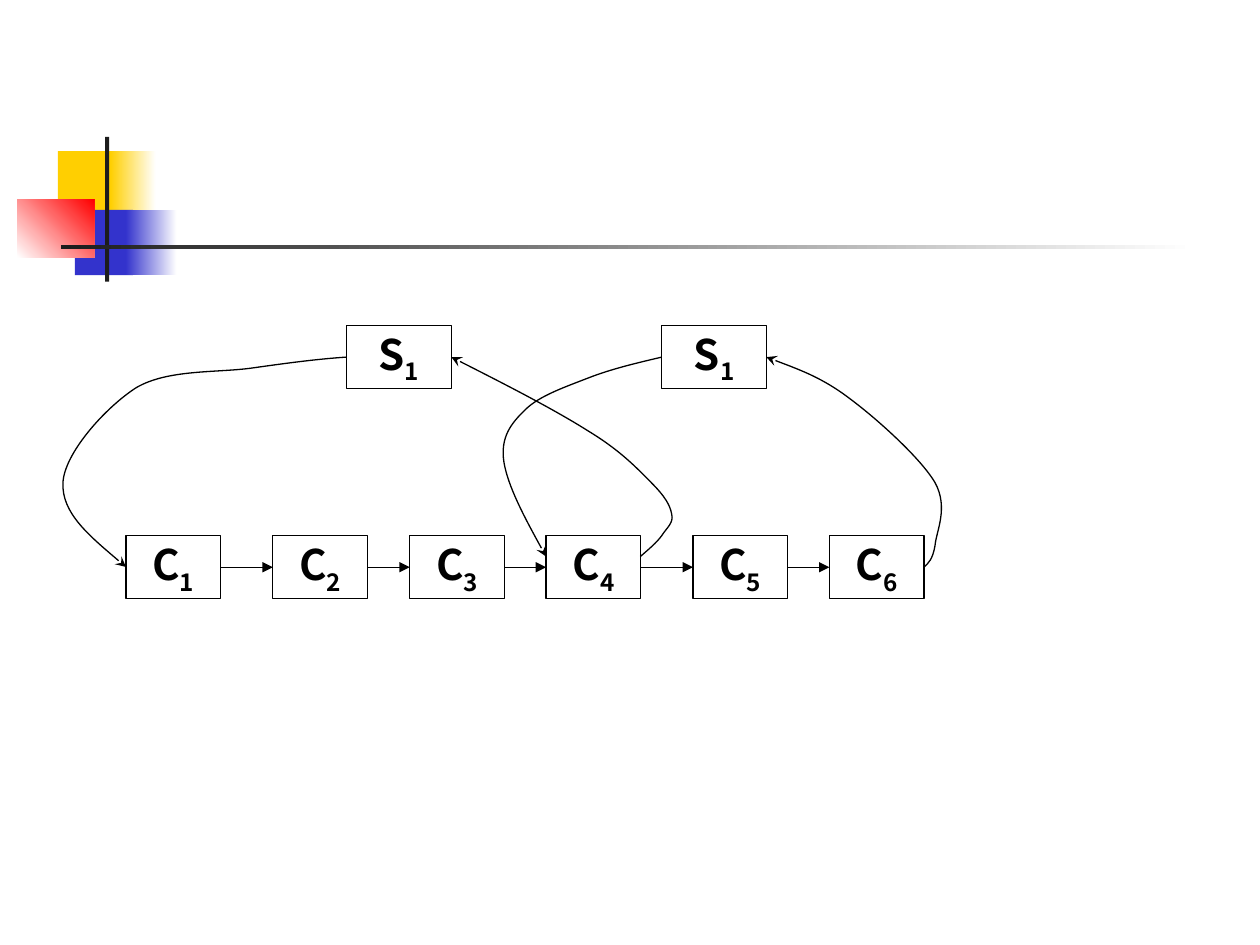
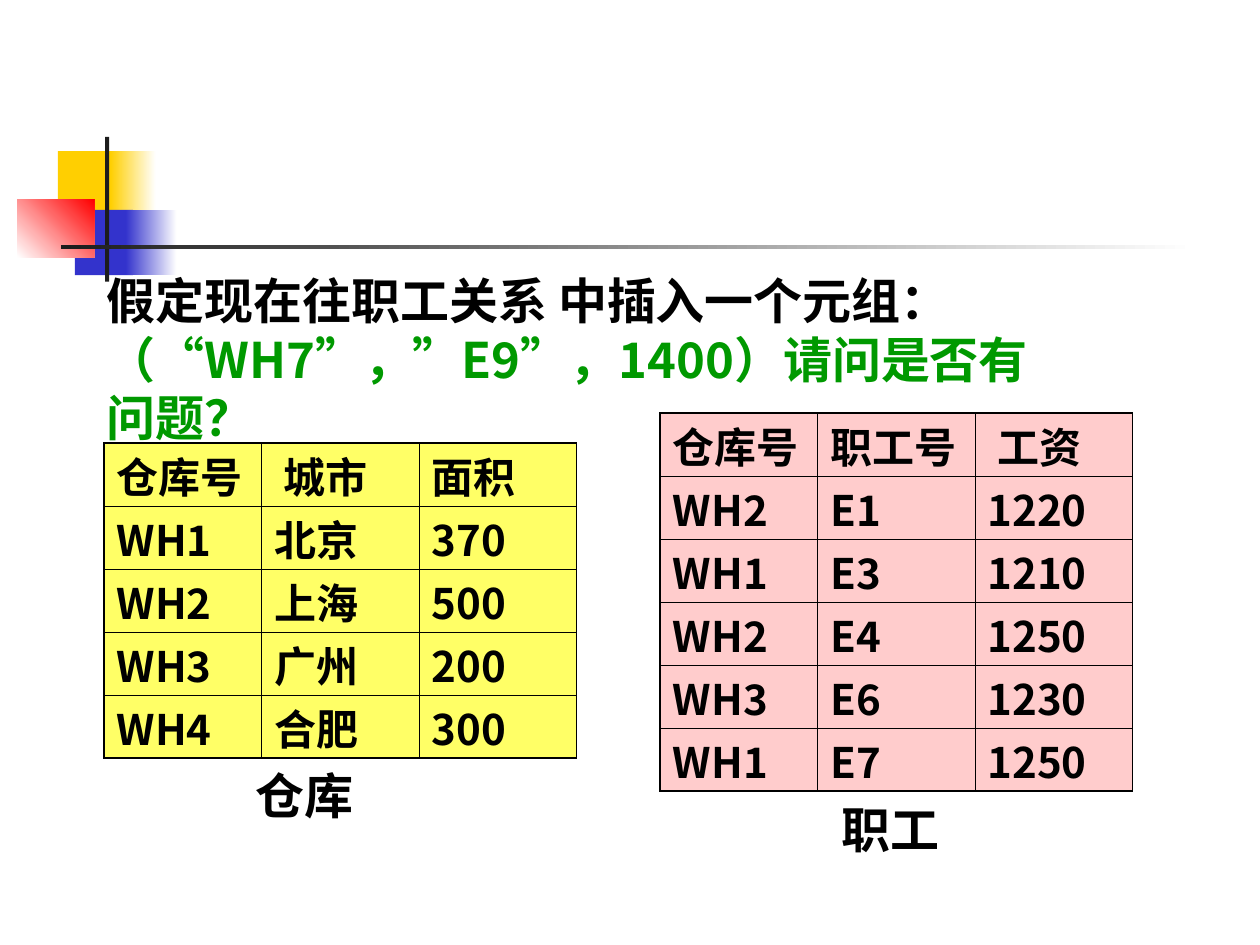
"""Build two database slides: a linked-record diagram and a pair of relation tables."""
import lxml.etree
import pptx
import pptx.dml.color
import pptx.enum.shapes
import pptx.enum.text
import pptx.oxml.ns
import pptx.util

Cm = pptx.util.Cm
Pt = pptx.util.Pt
qn = pptx.oxml.ns.qn

COLORS = {
    "black": "000000", "white": "FFFFFF", "ink": "1C1C1C", "gold": "FFCF01",
    "blue": "3333CC", "red": "FF0000", "green": "009900",
    "yellow": "FFFF66", "pink": "FFCCCC",
}
SANS = "Noto Sans CJK SC"
SERIF = "Times New Roman"

EMBLEM = [
    ((1.17, 3.05, 1.22, 1.32), ("gold",), 0),
    ((2.23, 3.05, 0.91, 1.32), ("gold", "white"), 0),
    ((1.51, 4.23, 1.17, 1.32), ("blue",), 0),
    ((2.54, 4.23, 1.02, 1.32), ("blue", "white"), 0),
    ((0.35, 4.02, 1.55, 1.17), ("white", "red"), 45),
    ((2.12, 2.76, 0.08, 2.92), ("ink",), 0),
    ((1.23, 4.94, 22.86, 0.09), ("ink", "white"), 0),
]

BOX_HEIGHT = 1.27
STUDENT_TOP, STUDENT_WIDTH = 6.56, 2.12
COURSE_TOP, COURSE_WIDTH = 10.8, 1.91
STUDENT_LEFTS = [6.98, 13.34]
COURSE_LEFTS = [2.54, 5.5, 8.26, 11.01, 13.97, 16.72]

LINK_CURVES = [
    [(6.98, 7.2), (6.38, 7.24), (5.79, 7.32), (5.08, 7.42), (4.37, 7.52),
     (3.38, 7.44), (2.74, 7.82), (2.11, 8.23), (1.3, 9.14), (1.27, 9.73),
     (1.24, 10.34), (1.88, 10.87), (2.54, 11.43)],
    [(12.91, 11.22), (13.08, 11.07), (13.23, 10.95), (13.34, 10.8), (13.44, 10.64),
     (13.59, 10.54), (13.54, 10.36), (13.51, 10.19), (13.41, 10.01), (13.13, 9.73),
     (12.85, 9.45), (12.52, 9.09), (11.86, 8.69), (11.18, 8.26), (10.13, 7.72),
     (9.1, 7.2)],
    [(13.34, 7.2), (12.83, 7.32), (12.32, 7.44), (11.86, 7.62), (11.4, 7.8),
     (10.87, 7.98), (10.59, 8.26), (10.31, 8.53), (10.08, 8.81), (10.16, 9.32),
     (10.24, 9.8), (10.62, 10.52), (11.01, 11.22)],
    [(18.63, 11.43), (18.72, 11.35), (18.8, 11.28), (18.85, 11), (18.87, 10.72),
     (19.13, 10.24), (18.85, 9.73), (18.57, 9.25), (17.7, 8.46), (17.15, 8.05),
     (16.59, 7.62), (16.03, 7.42), (15.45, 7.2)],
]

QUESTION = [
    ("假定现在往职工关系 中插入一个元组：", "black"),
    ("（“WH7”，”E9”，1400）请问是否有问题？", "green"),
]
RELATIONS = [
    {
        "caption": "仓库", "caption_at": (4.9, 15.32), "at": (2.1, 8.93), "fill": "yellow",
        "rows": [
            ("仓库号", " 城市", "面积"),
            ("WH1", "北京", "370"),
            ("WH2", "上海", "500"),
            ("WH3", "广州", "200"),
            ("WH4", "合肥", "300"),
        ],
    },
    {
        "caption": "职工", "caption_at": (16.71, 16), "at": (13.31, 8.33), "fill": "pink",
        "rows": [
            ("仓库号", "职工号", " 工资"),
            ("WH2", "E1", "1220"),
            ("WH1", "E3", "1210"),
            ("WH2", "E4", "1250"),
            ("WH3", "E6", "1230"),
            ("WH1", "E7", "1250"),
        ],
    },
]
TABLE_WIDTH, ROW_HEIGHT = 9.52, 1.27
OUTER_BORDER, INNER_BORDER = 1.08, 0.45


def rgb(name):
    return pptx.dml.color.RGBColor.from_string(COLORS[name])


def format_run(run, size, color="black", font=SANS):
    run.font.size = Pt(size)
    run.font.bold = True
    run.font.name = font
    run.font.color.rgb = rgb(color)
    east_asian = lxml.etree.SubElement(run.font._element, qn("a:ea"))
    east_asian.set("typeface", SANS)


def add_rectangle(slide, left, top, width, height):
    shape = slide.shapes.add_shape(
        pptx.enum.shapes.MSO_SHAPE.RECTANGLE, Cm(left), Cm(top), Cm(width), Cm(height))
    shape.shadow.inherit = False
    return shape


def add_emblem(slide, master):
    for number, (place, colors, angle) in enumerate(EMBLEM):
        shape = add_rectangle(slide, *place)
        shape.line.fill.background()
        if len(colors) == 1:
            shape.fill.solid()
            shape.fill.fore_color.rgb = rgb(colors[0])
        else:
            shape.fill.gradient()
            shape.fill.gradient_angle = angle
            for stop, color in zip(shape.fill.gradient_stops, colors):
                stop.color.rgb = rgb(color)
        shape._element.nvSpPr.cNvPr.set("id", str(100 + number))
        master.shapes._spTree.append(shape._element)


def format_line(shape, arrowhead=None):
    shape.line.color.rgb = rgb("black")
    shape.line.width = Pt(0.75)
    if arrowhead:
        outline = shape._element.spPr.find(qn("a:ln"))
        lxml.etree.SubElement(outline, qn("a:tailEnd")).set("type", arrowhead)


def add_record(slide, letter, index, left, top, width):
    shape = add_rectangle(slide, left, top, width, BOX_HEIGHT)
    shape.fill.background()
    format_line(shape)
    frame = shape.text_frame
    frame.word_wrap = False
    frame.vertical_anchor = pptx.enum.text.MSO_ANCHOR.MIDDLE
    paragraph = frame.paragraphs[0]
    paragraph.alignment = pptx.enum.text.PP_ALIGN.CENTER
    for text in (letter, str(index)):
        run = paragraph.add_run()
        run.text = text
        format_run(run, 24)
    run.font._element.set("baseline", "-25000")


def add_arrow(slide, start, end, y):
    connector = slide.shapes.add_connector(
        pptx.enum.shapes.MSO_CONNECTOR.STRAIGHT, Cm(start), Cm(y), Cm(end), Cm(y))
    format_line(connector, "triangle")
    lxml.etree.SubElement(connector._element.spPr, qn("a:effectLst"))


def bend_segments(shape):
    segments = list(shape._element.iter(qn("a:lnTo")))
    for first in range(0, len(segments), 3):
        curve = lxml.etree.Element(qn("a:cubicBezTo"))
        segments[first].addprevious(curve)
        for segment in segments[first:first + 3]:
            curve.append(segment[0])
            segment.getparent().remove(segment)


def add_curve(slide, controls):
    points = [(Cm(x), Cm(y)) for x, y in controls]
    builder = slide.shapes.build_freeform(*points[0])
    builder.add_line_segments(points[1:], close=False)
    shape = builder.convert_to_shape()
    bend_segments(shape)
    shape.shadow.inherit = False
    shape.fill.background()
    format_line(shape, "stealth")


def add_text(slide, place, lines, font=SANS, wrap=True):
    box = slide.shapes.add_textbox(*(Cm(length) for length in place))
    frame = box.text_frame
    frame.word_wrap = wrap
    frame.auto_size = pptx.enum.text.MSO_AUTO_SIZE.SHAPE_TO_FIT_TEXT
    frame.text = "\n".join(text for text, _ in lines)
    for paragraph, (_, color) in zip(frame.paragraphs, lines):
        paragraph.line_spacing = Pt(33.5)
        format_run(paragraph.runs[0], 28, color, font)


def set_borders(cell, row, column, last_row, last_column):
    outer_sides = {
        "lnL": column == 0, "lnR": column == last_column,
        "lnT": row == 0, "lnB": row == last_row,
    }
    properties = cell._tc.get_or_add_tcPr()
    for position, (side, is_outer) in enumerate(outer_sides.items()):
        border = lxml.etree.Element(qn(f"a:{side}"))
        border.set("w", str(Pt(OUTER_BORDER if is_outer else INNER_BORDER)))
        fill = lxml.etree.SubElement(border, qn("a:solidFill"))
        lxml.etree.SubElement(fill, qn("a:srgbClr")).set("val", COLORS["black"])
        properties.insert(position, border)


def add_relation(slide, relation):
    rows = relation["rows"]
    row_count, column_count = len(rows), len(rows[0])
    left, top = relation["at"]
    table = slide.shapes.add_table(
        row_count, column_count, Cm(left), Cm(top),
        Cm(TABLE_WIDTH), Cm(row_count * ROW_HEIGHT)).table
    table.first_row = False
    table.horz_banding = False
    for row, values in enumerate(rows):
        for column, value in enumerate(values):
            cell = table.cell(row, column)
            cell.margin_top, cell.margin_bottom = Cm(0.31), 0
            cell.fill.solid()
            cell.fill.fore_color.rgb = rgb(relation["fill"])
            set_borders(cell, row, column, row_count - 1, column_count - 1)
            cell.text_frame.text = value
            paragraph = cell.text_frame.paragraphs[0]
            paragraph.space_before = Pt(6)
            paragraph.line_spacing = Pt(27)
            format_run(paragraph.runs[0], 24)


def build_diagram(slide):
    for left in STUDENT_LEFTS:
        add_record(slide, "S", 1, left, STUDENT_TOP, STUDENT_WIDTH)
    for index, left in enumerate(COURSE_LEFTS, 1):
        add_record(slide, "C", index, left, COURSE_TOP, COURSE_WIDTH)
    for left, following in zip(COURSE_LEFTS, COURSE_LEFTS[1:]):
        add_arrow(slide, left + COURSE_WIDTH, following, COURSE_TOP + BOX_HEIGHT / 2)
    for controls in LINK_CURVES:
        add_curve(slide, controls)


def build_relations(slide):
    add_text(slide, (1.9, 5.33, 19.81, 3.81), QUESTION)
    for relation in RELATIONS:
        add_relation(slide, relation)
    for relation in RELATIONS:
        add_text(slide, (*relation["caption_at"], 2.6, 1.45),
                 [(relation["caption"], "black")], SERIF, wrap=False)


def main():
    presentation = pptx.Presentation()
    presentation.slide_width, presentation.slide_height = Cm(25.4), Cm(19.05)
    blank = presentation.slide_layouts[6]
    diagram = presentation.slides.add_slide(blank)
    add_emblem(diagram, presentation.slide_master)
    build_diagram(diagram)
    build_relations(presentation.slides.add_slide(blank))
    presentation.save("out.pptx")


if __name__ == "__main__":
    main()
